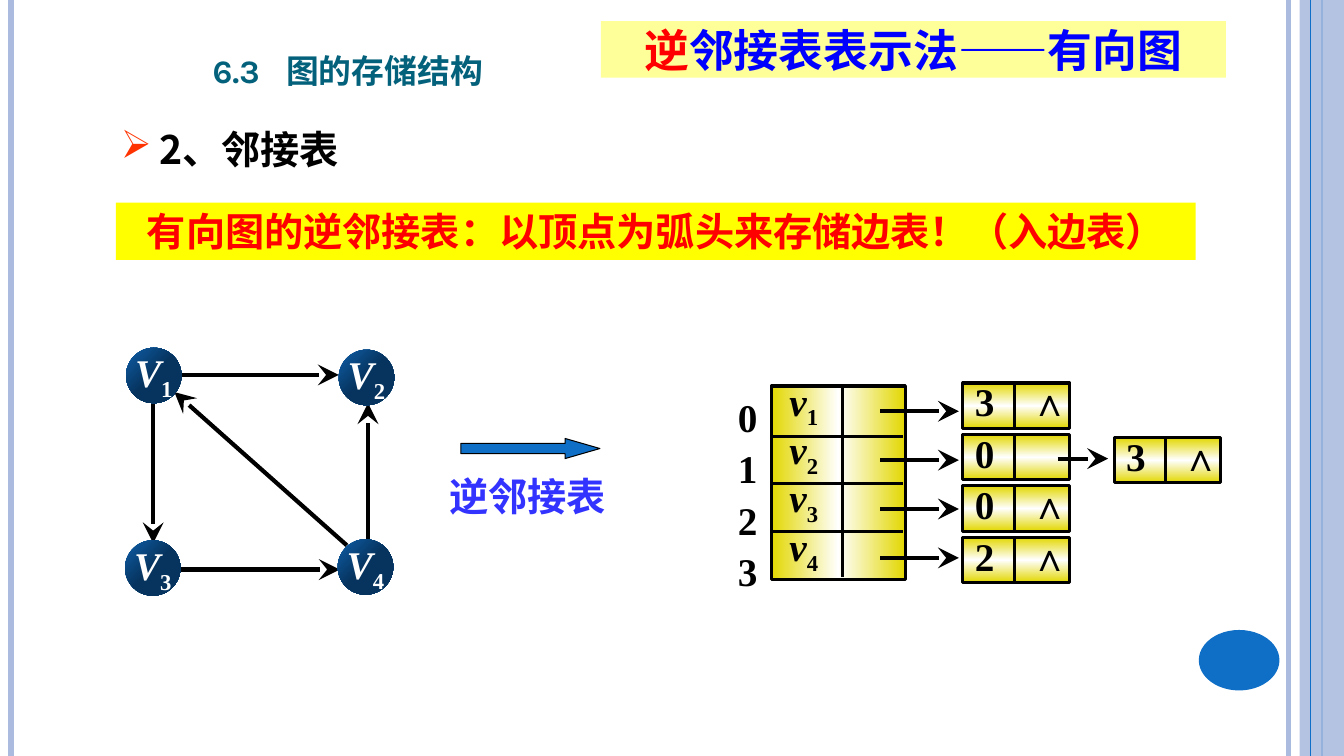
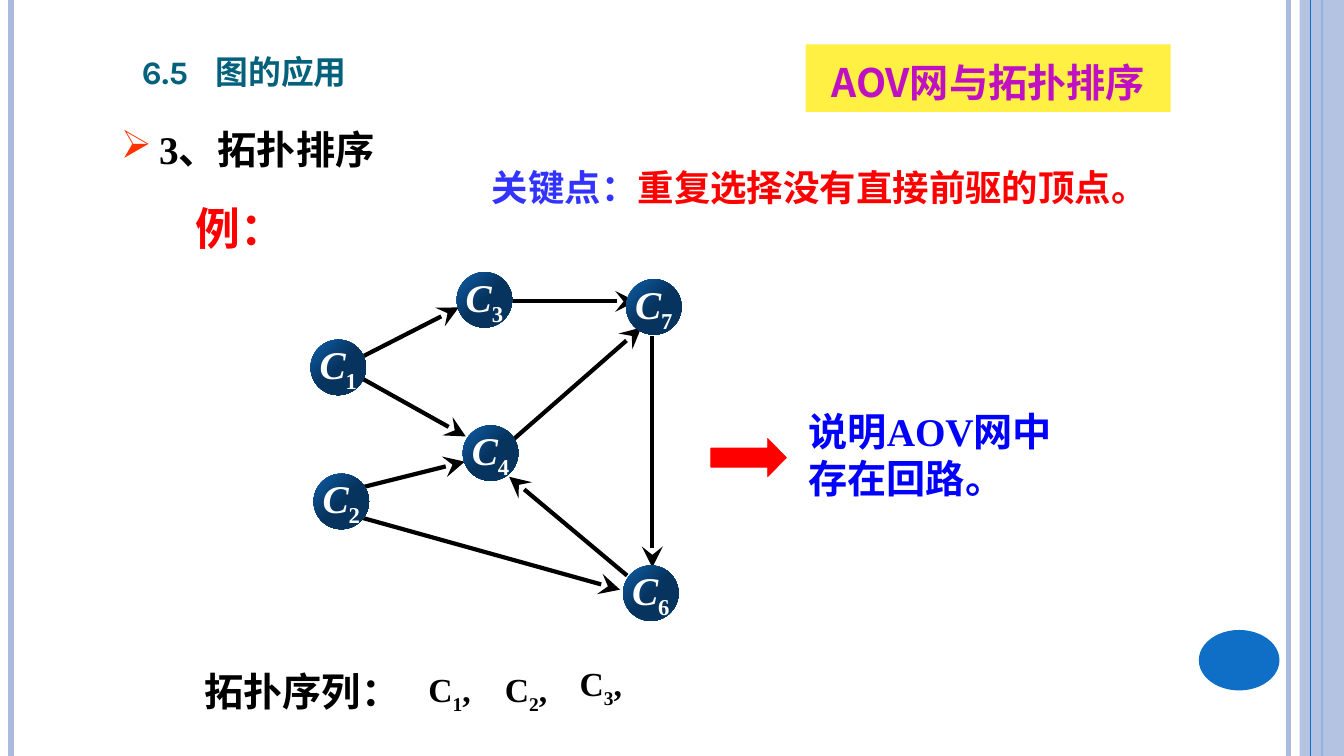
from copy import deepcopy

from lxml import etree
from pptx import Presentation
from pptx.dml.color import RGBColor
from pptx.enum.shapes import MSO_CONNECTOR, MSO_SHAPE
from pptx.enum.text import MSO_ANCHOR, PP_ALIGN
from pptx.oxml.ns import qn
from pptx.util import Inches, Pt

RECTANGLE, OVAL, BLOCK_ARROW = MSO_SHAPE.RECTANGLE, MSO_SHAPE.OVAL, MSO_SHAPE.RIGHT_ARROW
STRAIGHT = MSO_CONNECTOR.STRAIGHT
LEFT, CENTER = PP_ALIGN.LEFT, PP_ALIGN.CENTER
TOP, MIDDLE, BOTTOM = MSO_ANCHOR.TOP, MSO_ANCHOR.MIDDLE, MSO_ANCHOR.BOTTOM

BLACK = RGBColor(0x00, 0x00, 0x00)
WHITE = RGBColor(0xFF, 0xFF, 0xFF)
RED = RGBColor(0xFF, 0x00, 0x00)
BLUE = RGBColor(0x00, 0x00, 0xFF)
VIOLET_BLUE = RGBColor(0x33, 0x33, 0xFF)
PURPLE = RGBColor(0xBF, 0x11, 0xC3)
TEAL = RGBColor(0x04, 0x61, 0x7B)
ACCENT = RGBColor(0x0F, 0x6F, 0xC6)
PALE_BLUE = RGBColor(0xAB, 0xBB, 0xDF)
YELLOW = RGBColor(0xFF, 0xFF, 0x00)
PALE_YELLOW = RGBColor(0xFF, 0xFF, 0x99)
WARM_YELLOW = RGBColor(0xFF, 0xF0, 0x43)
GOLD = RGBColor(0xE2, 0xD7, 0x00)
NODE_LIGHT = RGBColor(0x0F, 0x5F, 0xA8)
NODE_DARK = RGBColor(0x06, 0x34, 0x5F)

SERIF, SANS, CHINESE, TITLE = "Times New Roman", "Arial", "Noto Sans CJK SC", "Karla"
SUB, ITALIC = "subscript", "italic"
NODE_SIZE = 0.55
NO_MARGINS = (0, 0, 0, 0)


def add_box(page, place, *spans, kind=None, fill=None, outline=None, weight=2.25,
            size=28, font=SERIF, color=BLACK, align=LEFT, anchor=TOP, margins=None,
            spacing=None, bullet=None, tab=None, caps=False, wrap=True):
    """Add a preset shape (or a text box without kind); a span is (text, look)."""
    place = [Inches(length) for length in place]
    if kind is None:
        box = page.shapes.add_textbox(*place)
    else:
        box = page.shapes.add_shape(kind, *place)
        box.shadow.inherit = False
        if fill is not None:
            box.fill.solid()
            box.fill.fore_color.rgb = fill
        if outline is None:
            box.line.fill.background()
        else:
            box.line.color.rgb = outline
            box.line.width = Pt(weight)
    if not spans:
        return box

    frame = box.text_frame
    frame.word_wrap = wrap
    frame.vertical_anchor = anchor
    if margins:
        (frame.margin_left, frame.margin_top,
         frame.margin_right, frame.margin_bottom) = map(Inches, margins)
    para = frame.paragraphs[0]
    para.alignment = align
    if spacing:
        para.line_spacing = spacing
    properties = para._p.get_or_add_pPr()
    if bullet:
        properties.set("marL", str(Inches(0.38)))
        properties.set("indent", str(-Inches(0.38)))
        bullet_color = etree.SubElement(properties, qn("a:buClr"))
        etree.SubElement(bullet_color, qn("a:srgbClr"), val="FF3300")
        etree.SubElement(properties, qn("a:buChar"), char=bullet)
    if tab:
        tabs = etree.SubElement(properties, qn("a:tabLst"))
        etree.SubElement(tabs, qn("a:tab"), pos=str(Inches(tab)), algn="l")
    para.font.size = Pt(size)
    para.font.name = font
    para.font.bold = True
    para.font.color.rgb = color
    defaults = properties.find(qn("a:defRPr"))
    etree.SubElement(defaults, qn("a:ea"), typeface=CHINESE)
    if caps:
        defaults.set("cap", "small")
    for text, look in spans:
        span = para.add_run()
        span.text = text
        if look == SUB:
            span._r.get_or_add_rPr().set("baseline", "-25000")
        elif look == ITALIC:
            span.font.italic = True
        elif look is not None:
            span.font.color.rgb = look
    return box


def add_line(page, start, end, color=BLACK, weight=2.25, arrow=False):
    line = page.shapes.add_connector(STRAIGHT, *map(Inches, (*start, *end)))
    line.line.color.rgb = color
    line.line.width = Pt(weight)
    if arrow:
        etree.SubElement(line.line._get_or_add_ln(), qn("a:tailEnd"),
                         type="stealth", w="lg", len="lg")
    etree.SubElement(line._element.spPr, qn("a:effectLst"))


deck = Presentation()
deck.slide_width, deck.slide_height = Inches(13.33), Inches(7.5)
blank = deck.slide_layouts[6]
gradients = []  # (shape, edge, middle, end, angle)

# Frame, title, heading and directed graph of each page
lessons = [
    dict(title="6.3\t图的存储结构", title_place=(2.01, 0.35, 4.88, 0.61),
         heading="2、邻接表", heading_font=CHINESE, letter="V",
         nodes={1: (1.25, 3.45), 2: (3.36, 3.47), 3: (1.24, 5.36), 4: (3.35, 5.35)},
         arcs=[((1.79, 3.72), (3.36, 3.72)), ((1.52, 4), (1.52, 5.39)),
               ((1.76, 5.65), (3.37, 5.65)), ((3.44, 5.41), (1.73, 3.89)),
               ((3.65, 5.39), (3.65, 4))]),
    dict(title="6.5\t图的应用", title_place=(1.31, 0.36, 3.4, 0.61),
         heading="3、拓扑排序", heading_font=SERIF, letter="C",
         nodes={1: (3.08, 3.37), 2: (3.11, 4.7), 3: (4.53, 2.7),
                4: (4.59, 4.22), 6: (6.18, 5.61), 7: (6.21, 2.77)},
         arcs=[((3.61, 3.53), (4.55, 3.05)), ((3.6, 3.76), (4.62, 4.33)),
               ((3.53, 5.12), (6.15, 5.85)), ((3.61, 4.83), (4.61, 4.58)),
               ((5.09, 2.99), (6.31, 2.99)), ((5.08, 4.37), (6.36, 3.25)),
               ((6.22, 5.71), (5.05, 4.73)), ((6.47, 3.33), (6.47, 5.63))]),
]
pages = []
for lesson in lessons:
    page = deck.slides.add_slide(blank)
    pages.append(page)
    for x, color, weight in [(12.78, PALE_BLUE, 3), (0.11, PALE_BLUE, 4.5),
                             (13.11, ACCENT, 1.5)]:
        add_line(page, (x, 0), (x, 7.5), color, weight)
    band = add_box(page, (12.89, 0, 0.44, 7.5), kind=RECTANGLE, fill=PALE_BLUE)
    band_color = band._element.spPr.find(qn("a:solidFill")).find(qn("a:srgbClr"))
    etree.SubElement(band_color, qn("a:alpha"), val="87000")
    add_line(page, (13, 0), (13, 7.5), ACCENT, 0.75)
    add_box(page, (11.89, 6.25, 0.8, 0.6), kind=OVAL, fill=ACCENT)

    add_box(page, lesson["title_place"], (lesson["title"], None), size=29.2,
            font=TITLE, color=TEAL, anchor=BOTTOM, tab=0.73, caps=True)
    add_box(page, (1.1, 1.1, 4.7, 0.76), (lesson["heading"], None),
            font=lesson["heading_font"], spacing=1.2, bullet="➢")

    for start, end in lesson["arcs"]:
        add_line(page, start, end, weight=3, arrow=True)
    for number, corner in lesson["nodes"].items():
        node = add_box(page, (*corner, NODE_SIZE, NODE_SIZE),
                       (lesson["letter"], ITALIC), (str(number), SUB), kind=OVAL,
                       color=WHITE, align=CENTER, anchor=MIDDLE, margins=NO_MARGINS,
                       wrap=False)
        gradients.append((node, NODE_LIGHT, NODE_DARK, NODE_DARK, 315))

storage, sorting = pages

# Inverse adjacency list
add_box(storage, (5.96, 0.21, 6.2, 0.56), ("逆", RED), ("邻接表表示法——有向图", None),
        kind=RECTANGLE, fill=PALE_YELLOW, size=32, font=CHINESE, color=BLUE,
        align=CENTER, anchor=MIDDLE)
add_box(storage, (1.15, 2.01, 10.71, 0.57),
        ("有向图的逆邻接表：以顶点为弧头来存储边表！（入边表）", None), kind=RECTANGLE,
        fill=YELLOW, font=CHINESE, color=RED, align=CENTER, anchor=MIDDLE)
add_box(storage, (4.36, 4.64, 1.83, 0.57), ("逆邻接表", None), color=VIOLET_BLUE)
leads_to = add_box(storage, (4.57, 4.35, 1.38, 0.2), kind=BLOCK_ARROW, fill=ACCENT,
                   outline=BLACK, weight=0.75)
leads_to.adjustments[1] = 1.73

vertex_list = add_box(storage, (7.65, 3.83, 1.33, 1.92), kind=RECTANGLE, outline=BLACK)
gradients.append((vertex_list, GOLD, WHITE, GOLD, 0))
add_line(storage, (8.36, 3.83), (8.36, 5.72))
for row in range(3):
    y = 4.33 + 0.47 * row
    add_line(storage, (7.65, y), (8.96, y))

RECORD_WIDTH, RECORD_HEIGHT, DIVIDER = 1.06, 0.45, 0.51
records = [(9.55, 3.8 + 0.51 * row, text)
           for row, text in enumerate(["3\t∧", "0", "0\t∧", "2\t∧"])]
records.append((11.05, 4.34, "3\t∧"))
for x, y, text in records:
    record = add_box(storage, (x, y, RECORD_WIDTH, RECORD_HEIGHT), (text, None),
                     kind=RECTANGLE, outline=BLACK, margins=(0.12, 0, 0, 0.01),
                     spacing=0.9, tab=0.55)
    gradients.append((record, GOLD, WHITE, GOLD, 90))
    add_line(storage, (x + DIVIDER, y), (x + DIVIDER, y + RECORD_HEIGHT))

for row in range(4):
    add_box(storage, (7.22, 3.85 + 0.51 * row, 0.41, 0.57), (str(row), None))
    add_box(storage, (7.83, 3.74 + 0.48 * row, 0.44, 0.47), ("v", ITALIC),
            (str(row + 1), SUB), margins=NO_MARGINS)
    y = 4.08 + 0.485 * row
    add_line(storage, (8.73, y), (9.51, y), weight=3, arrow=True)
add_line(storage, (10.49, 4.55), (10.99, 4.55), weight=3, arrow=True)

# Topological sorting
add_box(sorting, (7.99, 0.44, 3.62, 0.67), ("AOV网与拓扑排序", None), kind=RECTANGLE,
        fill=WARM_YELLOW, font=CHINESE, color=PURPLE, align=CENTER, spacing=1.2)
add_box(sorting, (4.78, 1.59, 7.25, 0.54), ("关键点：", VIOLET_BLUE),
        ("重复选择没有直接前驱的顶点。", None), size=26, font=SANS, color=RED)
add_box(sorting, (1.84, 1.94, 1.2, 0.64), ("例：", None), size=32, font=SANS, color=RED)
add_box(sorting, (7.92, 3.99, 2.77, 1.03), ("说明AOV网中存在回路。", None), color=BLUE)
conclusion = add_box(sorting, (7.05, 4.35, 0.75, 0.38), kind=BLOCK_ARROW, fill=RED,
                     outline=RED, weight=0.5)
conclusion.adjustments[1] = 0.49
add_box(sorting, (1.93, 6.57, 2.4, 0.57), ("拓扑序列：", None))
for number, x, y in [(1, 4.15, 6.59), (2, 4.91, 6.59), (3, 5.65, 6.53)]:
    add_box(sorting, (x, y, 0.73, 0.5), ("C", None), (str(number), SUB), (",", None),
            size=24, wrap=False)

# Three-stop gradients of nodes and list cells
for shape, first, middle, last, angle in gradients:
    shape.fill.gradient()
    shape.fill.gradient_angle = angle
    stop_list = shape._element.spPr.find(qn("a:gradFill")).find(qn("a:gsLst"))
    stop_list.insert(1, deepcopy(stop_list[0]))
    stops = zip(shape.fill.gradient_stops, (first, middle, last), (0, 0.5, 1))
    for stop, color, position in stops:
        stop.color.rgb = color
        stop.position = position

deck.save("out.pptx")
